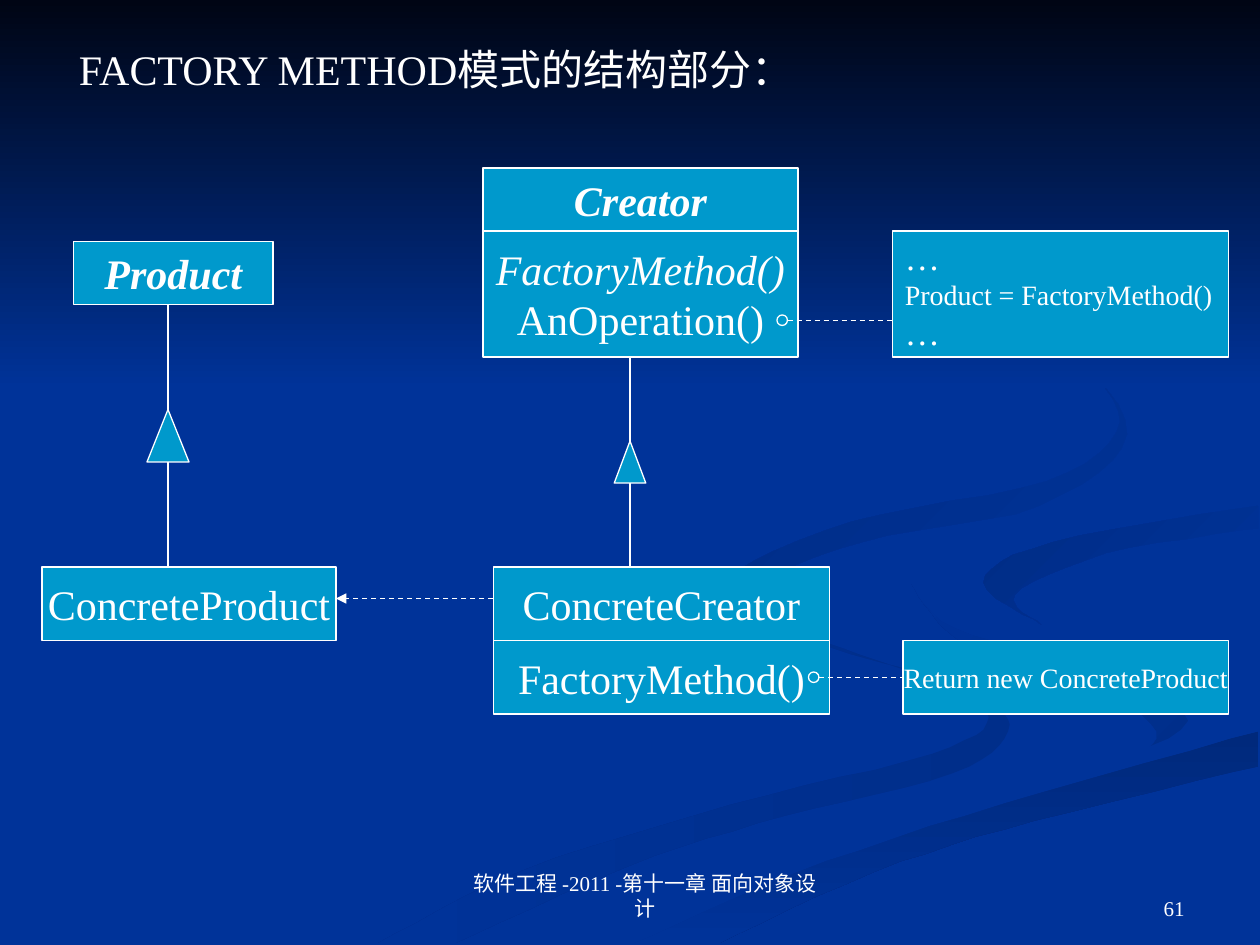
from lxml.etree import SubElement
from pptx import Presentation
from pptx.dml.color import RGBColor
from pptx.enum.dml import MSO_LINE
from pptx.enum.shapes import MSO_CONNECTOR, MSO_SHAPE
from pptx.enum.text import MSO_ANCHOR as Anchor, PP_ALIGN as Align
from pptx.oxml.ns import qn
from pptx.util import Pt

FONT = "Times New Roman"
WHITE = RGBColor(0xFF, 0xFF, 0xFF)
CYAN = RGBColor(0x00, 0x99, 0xCC)
BLUE = RGBColor(0x00, 0x33, 0x99)
NIGHT = RGBColor(0x00, 0x05, 0x14)
SHADE_1 = RGBColor(0x00, 0x2E, 0x8A)
SHADE_2 = RGBColor(0x00, 0x29, 0x7C)
SHADE_3 = RGBColor(0x00, 0x2C, 0x85)
SHADE_4 = RGBColor(0x00, 0x2B, 0x81)

# Edges that neighbouring ribbons share
LOWER_EDGE = [(362, 539), (454, 499), (574, 459), (719, 418)]
UPPER_EDGE = [(562, 333), (601, 310), (719, 289)]
MIDDLE_EDGE = [(521, 334), (546, 359), (626, 382), (679, 412)]

# Background ribbons: first colour, last colour, clockwise angle, smooth edges
RIBBONS = [
    (SHADE_1, BLUE, 180, [
        [(414, 330), (428, 349), (491, 374), (559, 398), (576, 418), (544, 442),
         (449, 466), (359, 495), (260, 539)],
        [(216, 539), (300, 497), (417, 460), (532, 431), (565, 410), (534, 388),
         (440, 359), (410, 337)]]),
    (SHADE_1, BLUE, 225, [
        MIDDLE_EDGE + [(644, 436)],
        [(644, 436), (661, 418), (625, 392), (552, 369), (521, 334)]]),
    (SHADE_2, BLUE, 90, [
        [(411, 539), (500, 498), (591, 469), (719, 438)], LOWER_EDGE[::-1]]),
    (BLUE, BLUE, 0, [
        MIDDLE_EDGE + [(607, 445), (446, 492), (343, 539)], LOWER_EDGE,
        [(719, 387), (611, 362)] + UPPER_EDGE,
        [(719, 279), (613, 296), (544, 311), (521, 334)]]),
    (BLUE, SHADE_3, 225, [
        [(595, 357), (580, 340), (632, 316), (719, 302)],
        UPPER_EDGE[::-1] + [(595, 357)]]),
    (BLUE, SHADE_4, 225, [
        [(549, 168), (607, 198), (644, 248), (594, 289), (492, 310), (427, 338),
         (448, 360)],
        [(448, 360), (415, 333), (487, 298), (598, 275), (640, 241), (609, 201),
         (549, 168)]]),
    (NIGHT, BLUE, 90, [[(0, 0), (720, 0)], [(720, 222), (0, 222)]]),
]


def smooth(edge, steps=6):
    """Points of a Catmull-Rom curve through the edge."""
    padded = [edge[0], *edge, edge[-1]]
    curve = [edge[0]]
    for a, b, c, d in zip(padded, padded[1:], padded[2:], padded[3:]):
        for step in range(1, steps + 1):
            t = step / steps
            curve.append(tuple(
                q + t / 2 * (r - p + t * (2 * p - 5 * q + 4 * r - s + t * (3 * (q - r) + s - p)))
                for p, q, r, s in zip(a, b, c, d)))
    return curve


def add_ribbon(page, first, last, angle, edges):
    outline = [point for edge in edges for point in smooth(edge)]
    builder = page.shapes.build_freeform(*outline[0], scale=Pt(1))
    builder.add_line_segments(outline[1:], close=True)
    ribbon = builder.convert_to_shape()
    ribbon.shadow.inherit = False
    ribbon.line.fill.background()
    if first == last:
        ribbon.fill.solid()
        ribbon.fill.fore_color.rgb = first
        return
    ribbon.fill.gradient()
    ribbon.fill.gradient_angle = (360 - angle) % 360
    for stop, color in zip(ribbon.fill.gradient_stops, (first, last)):
        stop.color.rgb = color


def write(shape, lines, align, anchor, wrap=False, indent=0):
    """Each line is (text, size) or (text, size, style), style using b and i."""
    frame = shape.text_frame
    frame.word_wrap = wrap
    frame.vertical_anchor = anchor
    for number, (text, size, *style) in enumerate(lines):
        para = frame.add_paragraph() if number else frame.paragraphs[0]
        para.alignment = align
        if indent:
            properties = para._p.get_or_add_pPr()
            properties.set("marL", str(Pt(indent)))
            properties.set("indent", "0")
        span = para.add_run()
        span.text = text
        span.font.name = FONT
        span.font.size = Pt(size)
        span.font.color.rgb = WHITE
        span.font.bold = "b" in "".join(style)
        span.font.italic = "i" in "".join(style)


def add_label(page, bounds, line, align=Align.LEFT, anchor=Anchor.TOP, wrap=False, indent=0):
    box = page.shapes.add_textbox(*map(Pt, bounds))
    write(box, [line], align, anchor, wrap, indent)


def add_node(page, kind, bounds, lines=(), align=Align.CENTER):
    node = page.shapes.add_shape(kind, *map(Pt, bounds))
    node.shadow.inherit = False
    node.fill.solid()
    node.fill.fore_color.rgb = CYAN
    node.line.color.rgb = WHITE
    node.line.width = Pt(0.75)
    write(node, lines, align, Anchor.MIDDLE)


def add_line(page, start, end, dashed=False, arrow=False):
    line = page.shapes.add_connector(MSO_CONNECTOR.STRAIGHT, *map(Pt, (*start, *end)))
    line.line.color.rgb = WHITE
    line.line.width = Pt(0.75)
    if dashed:
        line.line.dash_style = MSO_LINE.DASH
    if arrow:
        SubElement(line.line._get_or_add_ln(), qn("a:tailEnd"), type="triangle")
    SubElement(line._element.spPr, qn("a:effectLst"))


def add_inheritance(page, x, top, bottom, width, height):
    """Vertical line with a triangle halfway."""
    apex = (top + bottom - height) / 2
    add_line(page, (x, top), (x, apex))
    add_node(page, MSO_SHAPE.ISOSCELES_TRIANGLE, (x - width / 2, apex, width, height))
    add_line(page, (x, apex + height), (x, bottom))


def add_note_link(page, x, y, note_left):
    """Small circle joined to a note by a dashed line."""
    add_node(page, MSO_SHAPE.OVAL, (x, y - 3, 6, 6))
    add_line(page, (x + 6, y), (note_left, y), dashed=True)


def main():
    deck = Presentation()
    deck.slide_width, deck.slide_height = Pt(720), Pt(540)
    page = deck.slides.add_slide(deck.slide_layouts[6])

    # Background
    page.background.fill.solid()
    page.background.fill.fore_color.rgb = BLUE
    for ribbon in RIBBONS:
        add_ribbon(page, *ribbon)

    # Title
    add_label(page, (38, 21.6, 433, 36), ("FACTORY METHOD模式的结构部分：", 24))

    # Classes
    for bounds, lines in [
        ((42, 138, 114, 36), [("Product", 24, "bi")]),
        ((24, 324, 168, 42), [("ConcreteProduct", 24)]),
        ((276, 96, 180, 36), [("Creator", 24, "bi")]),
        ((276, 132, 180, 72), [("FactoryMethod()", 24, "i"), ("AnOperation()", 24)]),
        ((282, 324, 192, 42), [("ConcreteCreator", 24)]),
        ((282, 366, 192, 42), [("FactoryMethod()", 24)]),
        ((516, 366, 186, 42), [("Return new ConcreteProduct", 16)]),
    ]:
        add_node(page, MSO_SHAPE.RECTANGLE, bounds, lines)
    add_node(page, MSO_SHAPE.RECTANGLE, (510, 132, 192, 72),
             [("…", 20), ("Product = FactoryMethod()", 16), ("…", 20)], Align.LEFT)

    # Relations
    add_inheritance(page, 96, 174, 324, 24, 30)
    add_inheritance(page, 360, 204, 324, 18, 24)
    add_line(page, (282, 342), (192, 342), dashed=True, arrow=True)
    add_note_link(page, 444, 183, 510)
    add_note_link(page, 462, 387, 516)

    # Footer and page number
    add_label(page, (246, 492, 228, 37.5), ("软件工程 -2011 -第十一章 面向对象设计", 12),
              Align.CENTER, Anchor.BOTTOM, wrap=True, indent=17)
    add_label(page, (516, 492, 168, 37.5), ("61", 12),
              Align.RIGHT, Anchor.BOTTOM, wrap=True, indent=17)

    deck.save("out.pptx")


if __name__ == "__main__":
    main()
